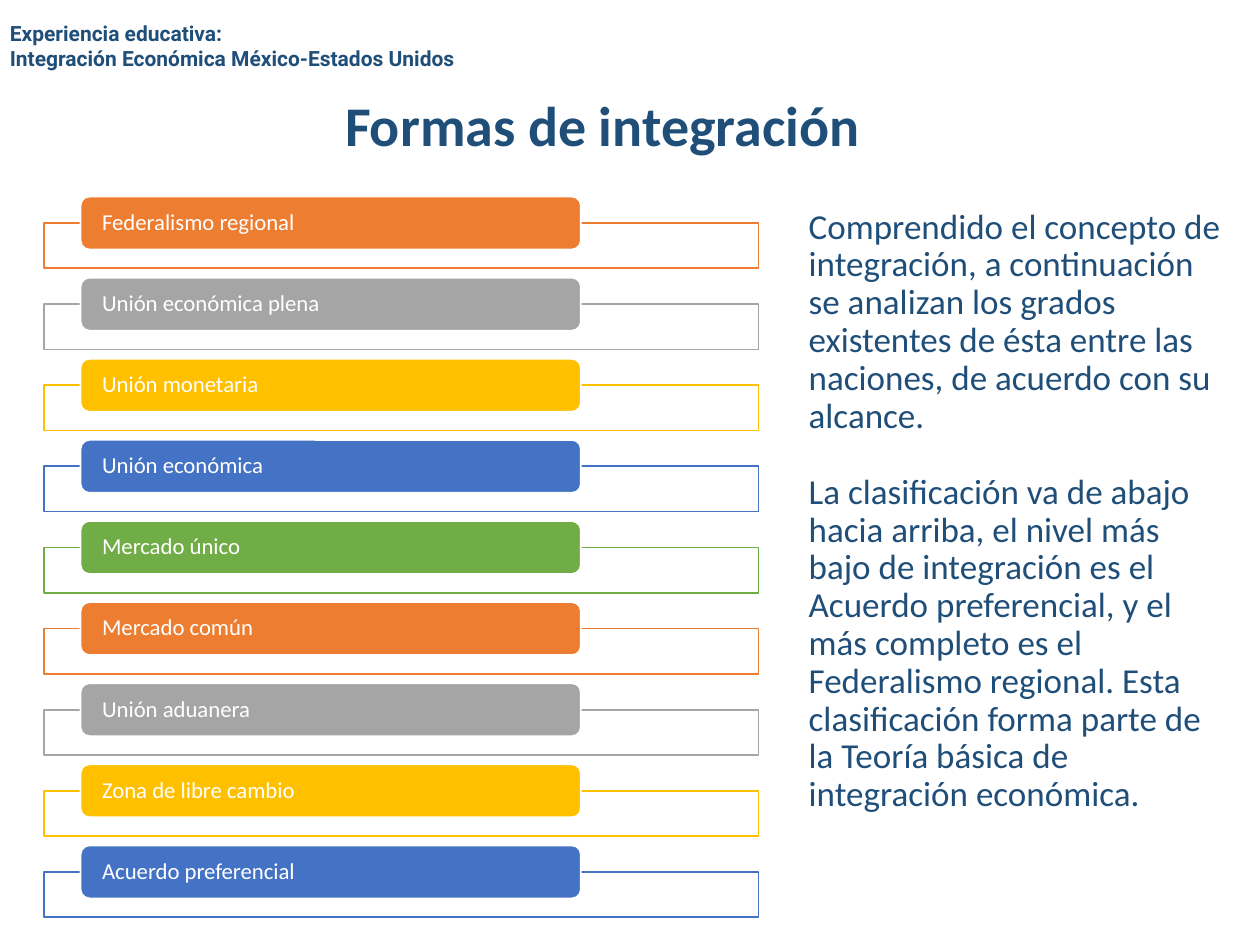
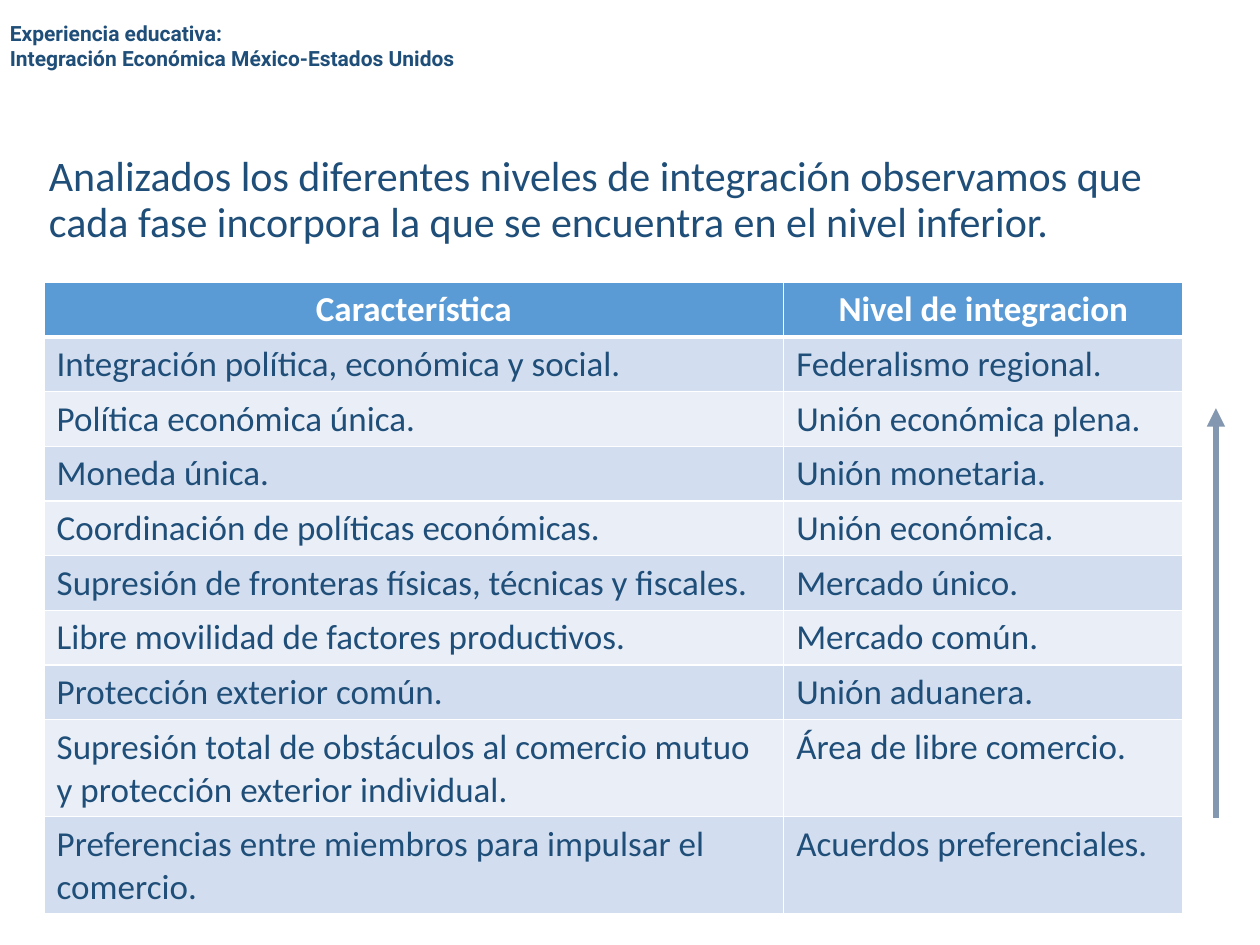
from itertools import cycle

from pptx import Presentation
from pptx.dml.color import RGBColor
from pptx.enum.shapes import MSO_CONNECTOR as CONN, MSO_SHAPE as SHAPE
from pptx.enum.text import MSO_ANCHOR as ANCHOR, PP_ALIGN as ALIGN
from pptx.oxml.ns import qn
from pptx.util import Inches, Pt
from lxml.etree import SubElement

COLORS = {
    "navy": "1F4E79", "white": "FFFFFF", "arrow": "8497B0",
    "header": "5B9BD5", "band_dark": "D2DEEF", "band_light": "EAEFF7",
    "orange": "ED7D31", "gray": "A5A5A5", "gold": "FFC000",
    "blue": "4472C4", "green": "70AD47",
}
LEVEL_COLORS = ["orange", "gray", "gold", "blue", "green"]
COURSE = ["Experiencia educativa:", "Integración Económica México-Estados Unidos"]

LEVELS = [
    "Federalismo regional", "Unión económica plena", "Unión monetaria",
    "Unión económica", "Mercado único", "Mercado común", "Unión aduanera",
    "Zona de libre cambio", "Acuerdo preferencial",
]
EXPLANATION = [
    "Comprendido el concepto de integración, a continuación se analizan los "
    "grados existentes de ésta entre las naciones, de acuerdo con su alcance.",
    "La clasificación va de abajo hacia arriba, el nivel más bajo de "
    "integración es el Acuerdo preferencial, y el más completo es el "
    "Federalismo regional. Esta clasificación forma parte de la Teoría básica "
    "de integración económica.",
]
SUMMARY = ("Analizados los diferentes niveles de integración observamos que cada "
           "fase incorpora la que se encuentra en el nivel inferior.")
TABLE_ROWS = [
    ("Característica", "Nivel de integracion"),
    ("Integración política, económica y social.", "Federalismo regional."),
    ("Política económica única.", "Unión económica plena."),
    ("Moneda única.", "Unión monetaria."),
    ("Coordinación de políticas económicas.", "Unión económica."),
    ("Supresión de fronteras físicas, técnicas y fiscales.", "Mercado único."),
    ("Libre movilidad de factores productivos.", "Mercado común."),
    ("Protección exterior común.", "Unión aduanera."),
    ("Supresión total de obstáculos al comercio mutuo y protección exterior "
     "individual.", "Área de libre comercio."),
    ("Preferencias entre miembros para impulsar el comercio.",
     "Acuerdos preferenciales."),
]


def rgb(name):
    return RGBColor.from_string(COLORS[name])


def style_text(tf, size, color="navy", bold=False, font="Calibri", spacing=None):
    for p in tf.paragraphs:
        if spacing:
            p.line_spacing = spacing
        for r in p.runs:
            r.font.size = Pt(size)
            r.font.name = font
            r.font.bold = bold
            r.font.color.rgb = rgb(color)


def add_text(slide, box, paragraphs, size, gap=0, **style):
    """Add a middle-anchored text box; gap is the points between paragraphs."""
    tf = slide.shapes.add_textbox(*map(Inches, box)).text_frame
    tf.word_wrap = True
    tf.vertical_anchor = ANCHOR.MIDDLE
    for i, text in enumerate(paragraphs):
        p = tf.add_paragraph() if i else tf.paragraphs[0]
        p.text = text
        if i and gap:
            p.space_before = Pt(gap)
    style_text(tf, size, **style)


def add_box(slide, kind, box, fill, line):
    sp = slide.shapes.add_shape(kind, *map(Inches, box))
    sp.shadow.inherit = False
    sp.fill.solid()
    sp.fill.fore_color.rgb = rgb(fill)
    sp.line.color.rgb = rgb(line)
    sp.line.width = Pt(1)
    return sp


def add_level(slide, top, name, color):
    """Add a coloured label that overlaps the outlined bar behind it."""
    add_box(slide, SHAPE.RECTANGLE, (0.35, top + 0.21, 5.67, 0.36), "white", color)
    label = add_box(slide, SHAPE.ROUNDED_RECTANGLE, (0.64, top, 3.97, 0.42),
                    color, "white")
    tf = label.text_frame
    tf.margin_left = tf.margin_right = Inches(0.15)
    tf.margin_top = tf.margin_bottom = 0
    tf.vertical_anchor = ANCHOR.MIDDLE
    tf.text = name
    tf.paragraphs[0].alignment = ALIGN.LEFT
    style_text(tf, 13, "white", spacing=0.9)


def set_borders(cell, top=1, bottom=1):
    tc_pr = cell._tc.get_or_add_tcPr()
    for side, width in (("L", 1), ("R", 1), ("T", top), ("B", bottom)):
        ln = SubElement(tc_pr, qn(f"a:ln{side}"), w=str(Pt(width)))
        fill = SubElement(ln, qn("a:solidFill"))
        SubElement(fill, qn("a:srgbClr"), val=COLORS["white"])


def add_level_table(slide):
    table = slide.shapes.add_table(
        len(TABLE_ROWS), 2, *map(Inches, (0.35, 2.24, 9.04, 5))).table
    for column, width in zip(table.columns, (5.87, 3.17)):
        column.width = Inches(width)
    for i, texts in enumerate(TABLE_ROWS):
        is_header = i == 0
        table.rows[i].height = Inches(0.77 if i >= len(TABLE_ROWS) - 2 else 0.43)
        band = "header" if is_header else "band_dark" if i % 2 else "band_light"
        for cell, text in zip(table.rows[i].cells, texts):
            set_borders(cell, top=3 if i == 1 else 1, bottom=3 if is_header else 1)
            cell.fill.solid()
            cell.fill.fore_color.rgb = rgb(band)
            cell.text = text
            if is_header:
                cell.text_frame.paragraphs[0].alignment = ALIGN.CENTER
            style_text(cell.text_frame, 20, "white" if is_header else "navy",
                       bold=is_header)


def add_arrow(slide, start, end):
    line = slide.shapes.add_connector(CONN.STRAIGHT, *map(Inches, start + end))
    line.line.color.rgb = rgb("arrow")
    line.line.width = Pt(3.5)
    SubElement(line.line._get_or_add_ln(), qn("a:tailEnd"), type="triangle")
    SubElement(line._element.spPr, qn("a:effectLst"))


def add_course_slide(prs):
    slide = prs.slides.add_slide(prs.slide_layouts[6])
    add_text(slide, (-0.02, 0.11, 4.02, 0.5), COURSE, 12, bold=True, font="Roboto")
    return slide


def build_forms_slide(prs):
    slide = add_course_slide(prs)
    add_text(slide, (2.64, 0.71, 4.96, 0.62), ["Formas de integración"], 32,
             bold=True, spacing=0.9)
    first, last = 1.56, 6.71
    step = (last - first) / (len(LEVELS) - 1)
    for i, (name, color) in enumerate(zip(LEVELS, cycle(LEVEL_COLORS))):
        add_level(slide, first + i * step, name, color)
    add_text(slide, (6.32, 1.34, 3.54, 5.44), EXPLANATION, 20, gap=22, spacing=0.9)


def build_summary_slide(prs):
    slide = add_course_slide(prs)
    add_text(slide, (0.29, 0.97, 9.09, 1.25), [SUMMARY], 24, spacing=0.9)
    add_level_table(slide)
    add_arrow(slide, (9.65, 6.49), (9.65, 3.24))


def main():
    prs = Presentation()
    prs.slide_width, prs.slide_height = Inches(10), Inches(7.5)
    build_forms_slide(prs)
    build_summary_slide(prs)
    prs.save("out.pptx")


if __name__ == "__main__":
    main()
